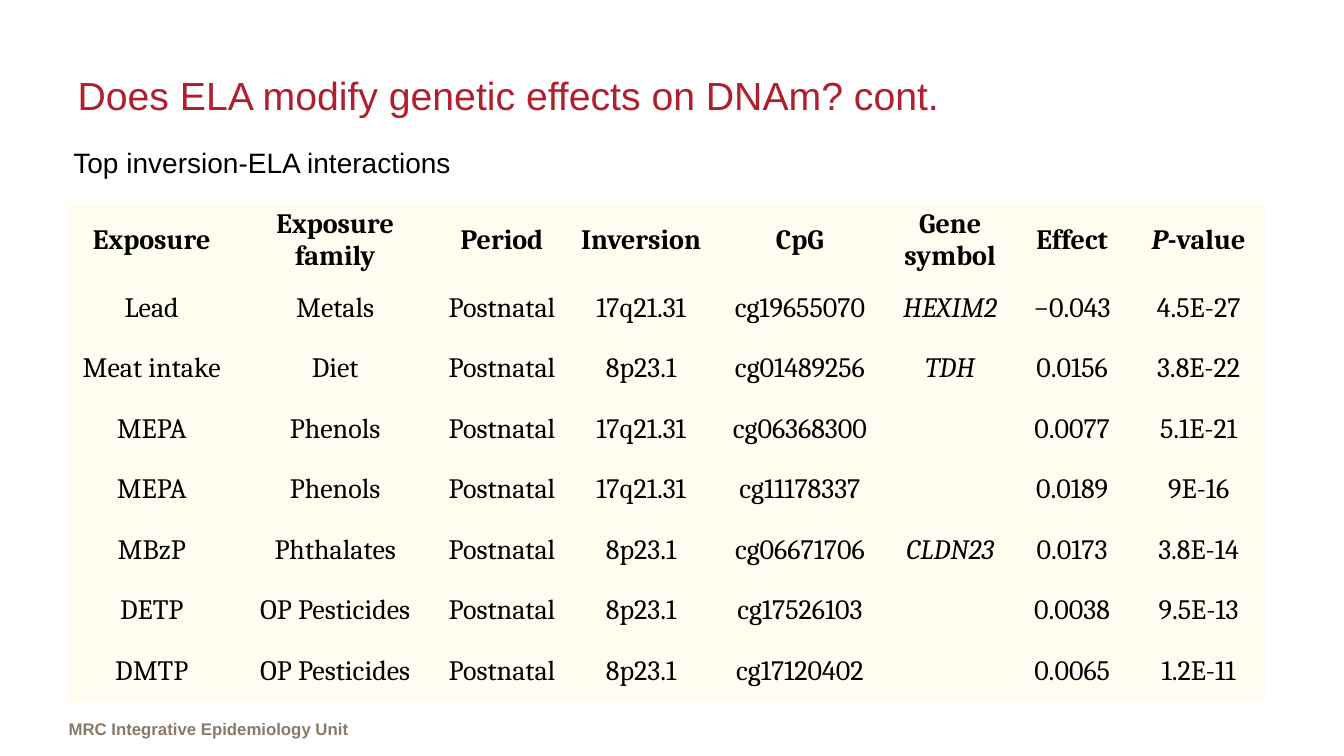
from dataclasses import dataclass

from pptx import Presentation
from pptx.dml.color import RGBColor
from pptx.enum.text import MSO_ANCHOR, MSO_AUTO_SIZE, PP_ALIGN
from pptx.slide import Slide
from pptx.text.text import TextFrame
from pptx.util import Emu, Pt

LEFT, CENTER = PP_ALIGN.LEFT, PP_ALIGN.CENTER
TOP, MIDDLE = MSO_ANCHOR.TOP, MSO_ANCHOR.MIDDLE
GROW = MSO_AUTO_SIZE.SHAPE_TO_FIT_TEXT
TITLE_ONLY = 5
EMU_PER_PX = 9144
PLAIN_TABLE_STYLE = "{2D5ABB26-0587-4C30-8999-92F81FD0307C}"


@dataclass(frozen=True)
class Theme:
    red: str = "B01F2E"
    brown: str = "8A7967"
    black: str = "000000"
    cream: str = "FFFCF0"
    sans: str = "Arial"
    serif: str = "Cambria"
    title_size: int = 28
    body_size: int = 20
    footer_size: int = 12


@dataclass(frozen=True)
class Box:
    left: int
    top: int
    width: int
    height: int

    def emu(self) -> tuple[Emu, Emu, Emu, Emu]:
        return px(self.left), px(self.top), px(self.width), px(self.height)


@dataclass(frozen=True)
class Column:
    heading: str
    width: int


@dataclass(frozen=True)
class Interaction:
    exposure: str
    family: str
    inversion: str
    cpg: str
    gene: str
    effect: str
    p_value: str

    def cells(self) -> list[str]:
        gene = f"*{self.gene}*" if self.gene else ""
        return [self.exposure, self.family, "Postnatal", self.inversion,
                self.cpg, gene, self.effect, self.p_value]


THEME = Theme()
ROW_HEIGHT = 60
TITLE_BOX = Box(67, 50, 1189, 89)
SUBTITLE_BOX = Box(63, 139, 1013, 44)
FOOTER_BOX = Box(68, 708, 322, 30)

COLUMNS = [
    Column("Exposure", 167),
    Column("Exposure family", 197),
    Column("Period", 134),
    Column("Inversion", 142),
    Column("CpG", 173),
    Column("Gene symbol", 125),
    Column("Effect", 117),
    Column("*P*-value", 134),
]

INTERACTIONS = [
    Interaction("Lead", "Metals", "17q21.31", "cg19655070", "HEXIM2", "−0.043", "4.5E-27"),
    Interaction("Meat intake", "Diet", "8p23.1", "cg01489256", "TDH", "0.0156", "3.8E-22"),
    Interaction("MEPA", "Phenols", "17q21.31", "cg06368300", "", "0.0077", "5.1E-21"),
    Interaction("MEPA", "Phenols", "17q21.31", "cg11178337", "", "0.0189", "9E-16"),
    Interaction("MBzP", "Phthalates", "8p23.1", "cg06671706", "CLDN23", "0.0173", "3.8E-14"),
    Interaction("DETP", "OP Pesticides", "8p23.1", "cg17526103", "", "0.0038", "9.5E-13"),
    Interaction("DMTP", "OP Pesticides", "8p23.1", "cg17120402", "", "0.0065", "1.2E-11"),
]


def px(length: int) -> Emu:
    return Emu(length * EMU_PER_PX)


def write(frame: TextFrame, text: str, *, size: int, font: str, color: str,
          bold: bool = False, align: PP_ALIGN = LEFT) -> None:
    paragraph = frame.paragraphs[0]
    paragraph.alignment = align
    for index, part in enumerate(text.split("*")):
        if part:
            run = paragraph.add_run()
            run.text = part
            run.font.size = Pt(size)
            run.font.name = font
            run.font.bold = bold
            run.font.italic = index % 2 == 1
            run.font.color.rgb = RGBColor.from_string(color)


def add_title(slide: Slide, text: str) -> None:
    title = slide.shapes.title
    title.left, title.top, title.width, title.height = TITLE_BOX.emu()
    title.text_frame.vertical_anchor = MIDDLE
    write(title.text_frame, text, size=THEME.title_size, font=THEME.sans, color=THEME.red)


def add_label(slide: Slide, box: Box, text: str, *, size: int, color: str,
              bold: bool = False, side_inset: int = 10) -> None:
    frame = slide.shapes.add_textbox(*box.emu()).text_frame
    frame.word_wrap = True
    frame.auto_size = GROW
    frame.vertical_anchor = TOP
    frame.margin_left = frame.margin_right = px(side_inset)
    write(frame, text, size=size, font=THEME.sans, color=color, bold=bold)


def add_interactions(slide: Slide) -> None:
    rows = [[column.heading for column in COLUMNS]]
    rows += [interaction.cells() for interaction in INTERACTIONS]
    box = Box(67, 201, sum(column.width for column in COLUMNS), ROW_HEIGHT * len(rows))
    table = slide.shapes.add_table(len(rows), len(COLUMNS), *box.emu()).table
    table.first_row = table.horz_banding = False
    table._tbl.tblPr[0].text = PLAIN_TABLE_STYLE
    for grid_column, column in zip(table.columns, COLUMNS):
        grid_column.width = px(column.width)
    for row_index, texts in enumerate(rows):
        for column_index, text in enumerate(texts):
            cell = table.cell(row_index, column_index)
            cell.fill.solid()
            cell.fill.fore_color.rgb = RGBColor.from_string(THEME.cream)
            cell.vertical_anchor = MIDDLE
            cell.margin_left = cell.margin_right = px(8)
            cell.margin_top = cell.margin_bottom = px(4)
            write(cell.text_frame, text, size=THEME.body_size, font=THEME.serif,
                  color=THEME.black, bold=row_index == 0, align=CENTER)


def main() -> None:
    presentation = Presentation()
    presentation.slide_width, presentation.slide_height = px(1333), px(750)
    slide = presentation.slides.add_slide(presentation.slide_layouts[TITLE_ONLY])
    add_label(slide, FOOTER_BOX, "MRC Integrative Epidemiology Unit",
              size=THEME.footer_size, color=THEME.brown, bold=True, side_inset=0)
    add_title(slide, "Does ELA modify genetic effects on DNAm? cont.")
    add_interactions(slide)
    add_label(slide, SUBTITLE_BOX, "Top inversion-ELA interactions",
              size=THEME.body_size, color=THEME.black)
    presentation.save("out.pptx")


if __name__ == "__main__":
    main()
